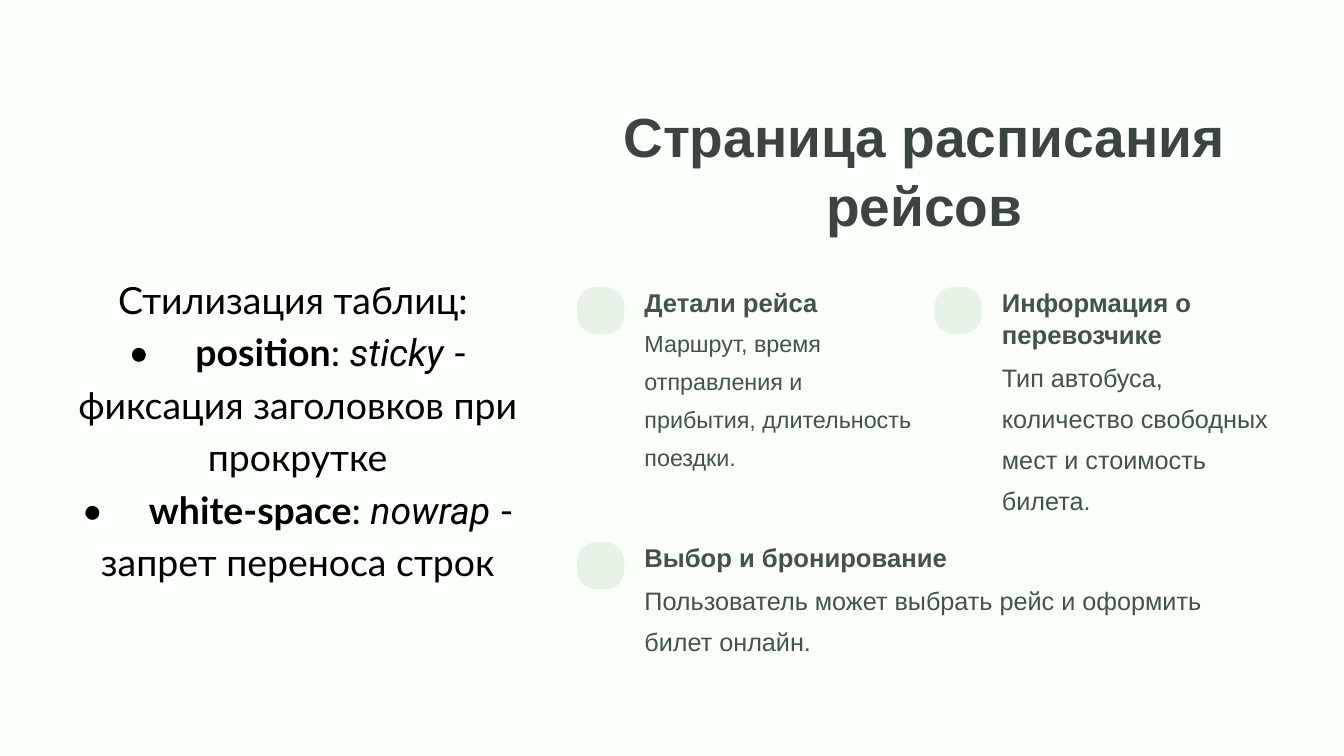
import dataclasses

import pptx
import pptx.dml.color
import pptx.enum.shapes
import pptx.enum.text
import pptx.util

COLUMNS, ROWS = 20, 11.25
CELL = pptx.util.Inches(1)
ALIGN = pptx.enum.text.PP_ALIGN


@dataclasses.dataclass(frozen=True)
class Theme:
    """Colours and text formats of the slide."""

    background: str = "FAFFFA"
    marker: str = "E8F3E8"
    title = dict(name="Arial", size=59, color="3B4540", bold=True)
    heading = dict(name="Arial", size=27.5, color="405449", bold=True)
    detail = dict(name="Arial", size=27, color="405449", bold=False)
    compact = dict(detail, size=25)
    plain = dict(name="Lato", size=40.1, color="000000", bold=False, italic=False)
    strong = dict(plain, bold=True)
    value = dict(plain, name="Roboto", italic=True)


THEME = Theme()


def color(value):
    """Turn a hex value into a colour."""
    return pptx.dml.color.RGBColor.from_string(value)


def place(shape, box):
    """Move a shape to a box given in grid columns and rows."""
    for name, cells in zip(("left", "top", "width", "height"), box):
        setattr(shape, name, round(cells * CELL))


def format_font(font, style):
    """Apply a dict of format values to a font."""
    for name, value in style.items():
        if name == "color":
            font.color.rgb = color(value)
        else:
            setattr(font, name, pptx.util.Pt(value) if name == "size" else value)


def write(shape, paragraphs, leading, align=ALIGN.LEFT):
    """Fill a shape with paragraphs of (text, style) spans."""
    frame = shape.text_frame
    frame_format = dict(
        margin_left=0, margin_top=0, margin_right=0, margin_bottom=0,
        word_wrap=True, auto_size=pptx.enum.text.MSO_AUTO_SIZE.NONE,
        vertical_anchor=pptx.enum.text.MSO_ANCHOR.TOP,
    )
    for name, value in frame_format.items():
        setattr(frame, name, value)
    para_format = dict(
        alignment=align, line_spacing=pptx.util.Pt(leading),
        space_before=pptx.util.Pt(0), space_after=pptx.util.Pt(0),
    )
    for index, spans in enumerate(paragraphs):
        para = frame.add_paragraph() if index else frame.paragraphs[0]
        for name, value in para_format.items():
            setattr(para, name, value)
        for text, style in spans:
            span = para.add_run()
            span.text = text
            format_font(span.font, style)


def add_title(page, box):
    """Write the slide title in its placeholder."""
    place(page.shapes.title, box)
    spans = [("Страница расписания рейсов", THEME.title)]
    write(page.shapes.title, [spans], 73.6, ALIGN.CENTER)


def add_styling_notes(page, box):
    """Write the list of table styling rules in the body placeholder."""
    body = page.placeholders[1]
    place(body, box)
    rules = [
        ("position", "sticky", "фиксация заголовков при прокрутке"),
        ("white-space", "nowrap", "запрет переноса строк"),
    ]
    paragraphs = [[("Стилизация таблиц: ", THEME.plain)]]
    for name, value, purpose in rules:
        paragraphs.append([
            ("•\t", THEME.plain), (name, THEME.strong), (": ", THEME.plain),
            (value, THEME.value), (f" - {purpose}", THEME.plain),
        ])
    write(body, paragraphs, 56.2, ALIGN.CENTER)
    for para in body.text_frame.paragraphs:
        settings = para._p.get_or_add_pPr()
        for name, value in dict(marL=0, indent=0, defTabSz=CELL).items():
            settings.set(name, str(int(value)))
        bullet = settings.makeelement(pptx.oxml.ns.qn("a:buNone"), {})
        settings.append(bullet)


def add_card(page, box, heading, heading_rows, detail, style, leading):
    """Place a marker with a heading and a detail text beside it."""
    left, top, width, height = box
    marker = page.shapes.add_shape(
        pptx.enum.shapes.MSO_SHAPE.ROUNDED_RECTANGLE, 0, 0, 0, 0)
    place(marker, (left, top + 0.02, 0.7, 0.7))
    marker.adjustments[0] = 0.4
    marker.shadow.inherit = False
    marker.fill.solid()
    marker.fill.fore_color.rgb = color(THEME.marker)
    marker.line.fill.background()
    parts = [
        (0, heading_rows, heading, THEME.heading, 34.4),
        (heading_rows, height - heading_rows, detail, style, leading),
    ]
    for offset, rows, text, text_style, spacing in parts:
        text_box = page.shapes.add_textbox(0, 0, 0, 0)
        place(text_box, (left + 1, top + offset, width - 1, rows))
        write(text_box, [[(text, text_style)]], spacing)


def main():
    """Build the slide and save it."""
    deck = pptx.Presentation()
    deck.slide_width, deck.slide_height = COLUMNS * CELL, round(ROWS * CELL)
    page = deck.slides.add_slide(deck.slide_layouts[1])
    page.background.fill.solid()
    page.background.fill.fore_color.rgb = color(THEME.background)
    left, top, width = 8.59, 4.25, 10.33
    second = left + 5.32
    add_title(page, (left, 1.49, width, 2.42))
    cards = [
        ((left, top, 5, 2.93), "Детали рейса", 0.5,
         "Маршрут, время отправления и прибытия, длительность поездки.",
         THEME.compact, 40.7),
        ((second, top, 5, 3.58), "Информация о перевозчике", 0.98,
         "Тип автобуса, количество свободных мест и стоимость билета.",
         THEME.detail, 44),
        ((left, top + 3.8, width, 1.9), "Выбор и бронирование", 0.5,
         "Пользователь может выбрать рейс и оформить билет онлайн.",
         THEME.detail, 44),
    ]
    for card in cards:
        add_card(page, *card)
    add_styling_notes(page, (1.12, 4.01, 6.62, 4.61))
    deck.save("out.pptx")


if __name__ == "__main__":
    main()
